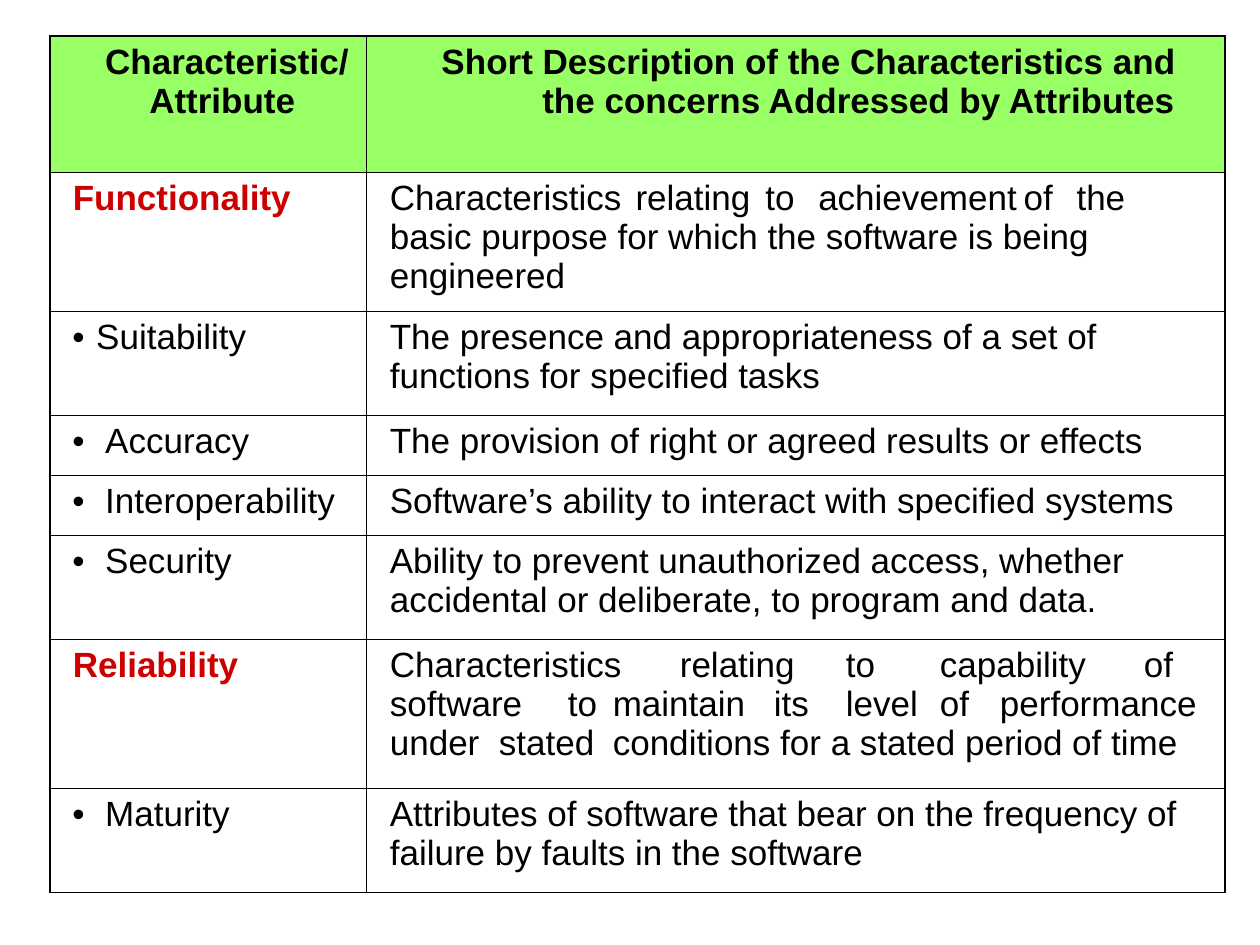
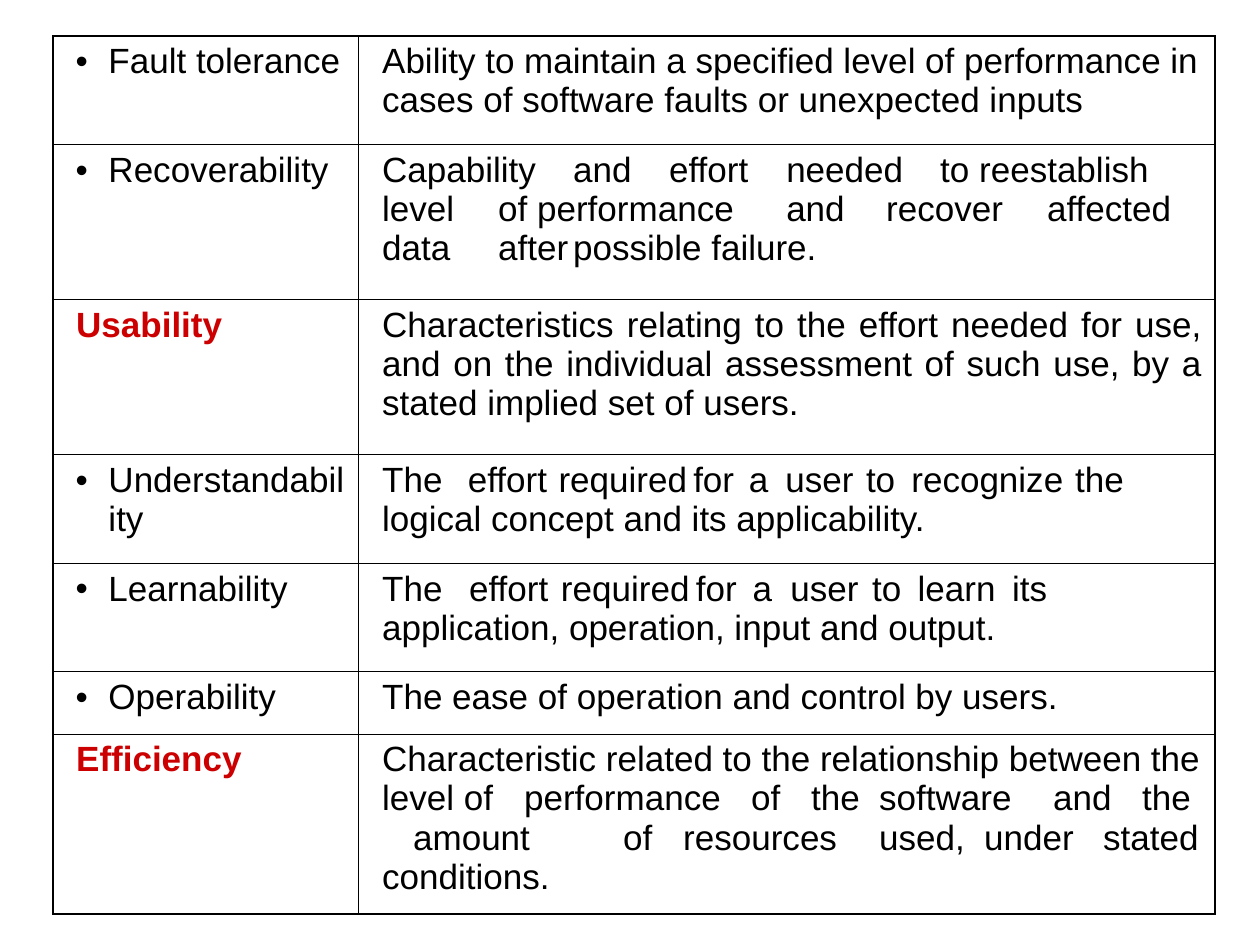
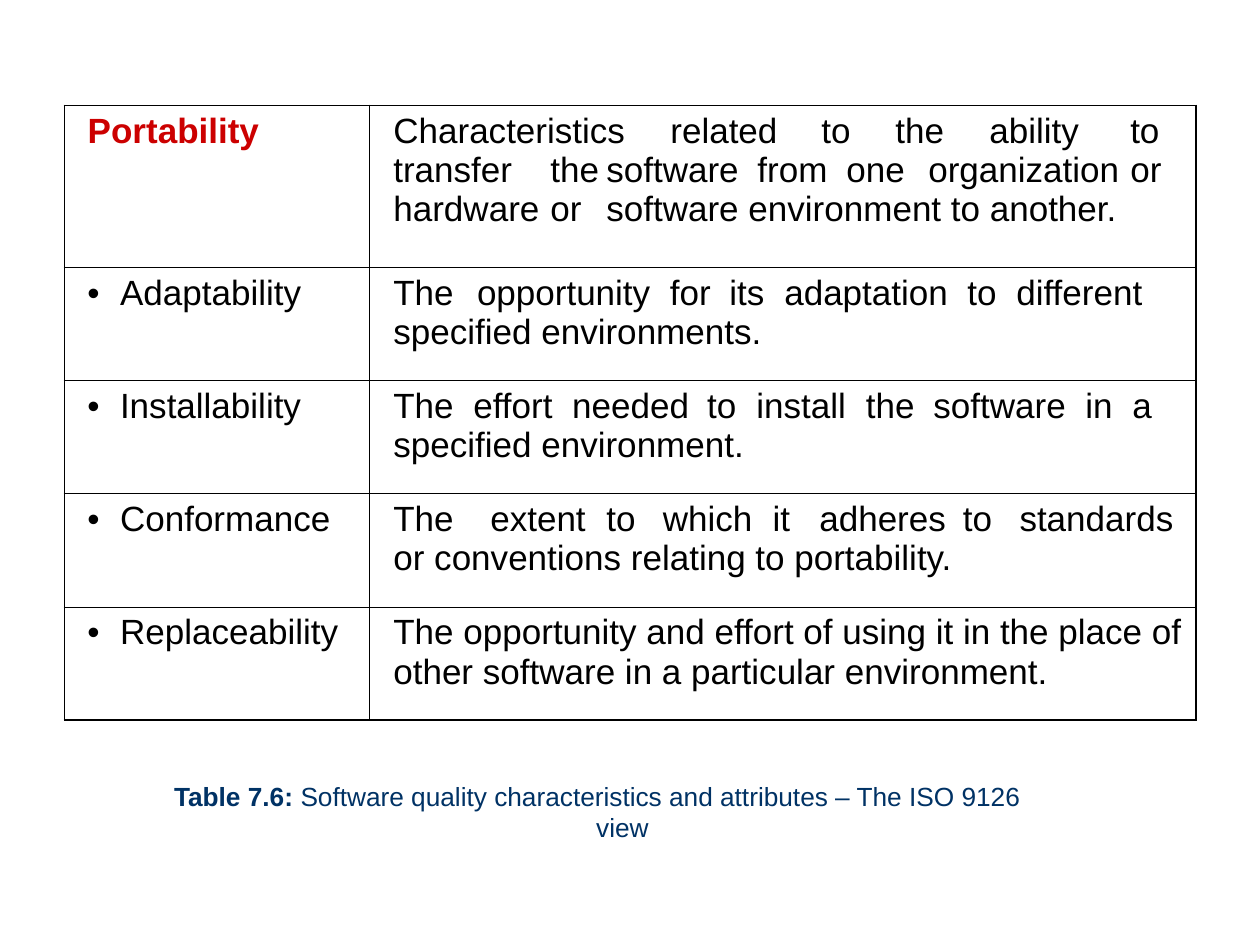
from dataclasses import dataclass
from lxml import etree
from pptx import Presentation, util as u
from pptx.dml.color import RGBColor
from pptx.enum import text
from pptx.oxml import ns

Pt = u.Pt


@dataclass(frozen=True)
class Theme:
    font: str = "Arial"
    ink: str = "000000"
    heading: str = "CC0000"
    caption: str = "003265"
    header_fill: str = "98FF65"
    body_size: int = 20
    caption_size: int = 15
    outer_line: float = 1.08
    inner_line: float = 0.45


THEME = Theme()

INDENTS = {
    "header name": (49.7, -25.2),
    "header description": (93.6, -57.6),
    "heading": (6, 0),
    "bullet": (24.5, -18.7),
    "tight bullet": (19.4, -13.7),
    "description": (6.5, 0),
}

TABLES = [
    {
        "at": (28.4, 20.5), "cols": (180.7, 491),
        "heights": (78, 79.4, 59.6, 34.2, 34.2, 59.6, 85, 59.6),
        "rows": [
            ("header", "Characteristic/ Attribute",
             "Short Description of the Characteristics and the concerns Addressed by Attributes"),
            ("heading", "Functionality",
             "Characteristics\trelating\tto\tachievement\tof\tthe\tbasic purpose for which the software is being engineered",
             {"stops": (140.4, 214.6, 244.8, 362.2, 392.4, 432.7, 504)}),
            ("tight bullet", "Suitability",
             "The presence and appropriateness of a set of functions for specified tasks"),
            ("bullet", "Accuracy", "The provision of right or agreed results or effects"),
            ("bullet", "Interoperability", "Software’s ability to interact with specified systems"),
            ("bullet", "Security",
             "Ability to prevent unauthorized access, whether accidental or deliberate, to program and data."),
            ("heading", "Reliability",
             "Characteristics\trelating\tto\tcapability\tof\vsoftware\tto\tmaintain\tits\tlevel\tof\tperformance\vunder\tstated\tconditions for a stated period of time",
             {"stops": (62.3, 101.7, 127.4, 165.7, 219.4, 260.6, 314.3, 348.6, 430.9)}),
            ("bullet", "Maturity",
             "Attributes of software that bear on the frequency of failure by faults in the software"),
        ],
    },
    {
        "at": (30.3, 20.5), "cols": (174.4, 489.6),
        "heights": (61.9, 88.6, 88.6, 62.2, 61.9, 35.8, 102.8),
        "rows": [
            ("bullet", "Fault tolerance",
             "Ability to maintain a specified level of performance in cases of software faults or unexpected inputs"),
            ("bullet", "Recoverability",
             "Capability\tand\teffort\tneeded\tto reestablish\vlevel\tof performance\tand\trecover\taffected\vdata\tafter\tpossible failure.",
             {"stops": (66.3, 109.1, 164, 230.9, 288, 318.9, 380)}),
            ("heading", "Usability",
             "Characteristics relating to the effort needed for use, and on the individual assessment of such use, by a stated implied set of users.",
             {"justify": True}),
            ("bullet", "Understandability",
             "The\teffort\trequired\tfor\ta\tuser\tto\trecognize\tthe\tlogical concept and its applicability.",
             {"stops": (49, 100.8, 177.8, 209.5, 230.4, 276.5, 302.4)}),
            ("bullet", "Learnability",
             "The\teffort\trequired\tfor\ta\tuser\tto\tlearn\tits\tapplication, operation, input and output.",
             {"stops": (49.7, 102.2, 179.3, 211.7, 233.3, 280, 306)}),
            ("bullet", "Operability", "The ease of operation and control by users."),
            ("heading", "Efficiency",
             "Characteristic related to the relationship between the level of\tperformance\tof\tthe\tsoftware\tand\tthe\v\tamount\tof\tresources\tused,\tunder\tstated\vconditions.",
             {"stops": (17.7, 81.1, 137.7, 172, 210.9, 245.1, 284, 344, 383.4, 412, 434.3)}),
        ],
    },
    {
        "at": (36.9, 60.2), "cols": (174.2, 472.3),
        "heights": (92.6, 64.7, 64.7, 64.7, 64.7),
        "rows": [
            ("heading", "Portability",
             "Characteristics\trelated\tto\tthe\tability\tto\vtransfer\tthe\tsoftware\tfrom\tone\torganization\tor\vhardware\tor\tsoftware environment to another.",
             {"stops": (89.7, 121.7, 158.3, 208, 244.6, 258.9, 286.9, 305.7, 340.6, 421.1)}),
            ("bullet", "Adaptability",
             "The\topportunity\tfor\tits\tadaptation\tto\tdifferent specified environments.",
             {"stops": (47.8, 158, 192, 223.4, 328, 356)}),
            ("bullet", "Installability",
             "The\teffort\tneeded\tto\tinstall\tthe\tsoftware\tin\ta specified environment.",
             {"stops": (45.7, 102.2, 179.3, 207.4, 270, 308.6, 395.4, 422.3)}),
            ("bullet", "Conformance",
             "The\textent\tto\twhich\tit\tadheres\tto\tstandards\tor conventions relating to portability.",
             {"stops": (55.4, 121.7, 154, 216.7, 243.4, 325.4, 357.8)}),
            ("bullet", "Replaceability",
             "The opportunity and effort of using it in the place of other software in a particular environment."),
        ],
    },
]

CAPTION = {
    "at": (98.8, 445.7, 515.5, 36),
    "indent": (241.9, -241.2),
    "label": "Table 7.6: ",
    "body": "Software quality characteristics and attributes – The ISO 9126 view",
}


def sub(parent, tag, **attrs):
    return etree.SubElement(parent, ns.qn(tag), {k: str(v) for k, v in attrs.items()})


def solid(parent, color):
    sub(sub(parent, "a:solidFill"), "a:srgbClr", val=color)


def set_indent(p, indent):
    left, first = indent
    pPr = p._p.get_or_add_pPr()
    pPr.set("marL", str(Pt(left)))
    if first:
        pPr.set("indent", str(Pt(first)))
    return pPr


def set_font(p, size, color):
    p.font.name = THEME.font
    p.font.size = Pt(size)
    p.font.color.rgb = RGBColor.from_string(color)


def fill_cell(cell, words, kind, color, bold, justify=False, stops=()):
    p = cell.text_frame.paragraphs[0]
    p.text = words
    if justify:
        p.alignment = text.PP_ALIGN.JUSTIFY
    if kind.startswith("header"):
        p.line_spacing = 1.01
    pPr = set_indent(p, INDENTS[kind])
    if kind.endswith("bullet"):
        sub(sub(pPr, "a:buClr"), "a:srgbClr", val=THEME.ink)
        sub(pPr, "a:buFont", typeface=THEME.font)
        sub(pPr, "a:buChar", char="•")
    if stops:
        tabs = sub(pPr, "a:tabLst")
        for stop in stops:
            sub(tabs, "a:tab", pos=Pt(stop), algn="l")
    set_font(p, THEME.body_size, color)
    p.font.bold = bold


def set_borders(cell, outer):
    tcPr = cell._tc.get_or_add_tcPr()
    for i, side in enumerate("LRTB"):
        width = THEME.outer_line if side in outer else THEME.inner_line
        ln = etree.Element(ns.qn(f"a:ln{side}"), {"w": str(Pt(width))})
        solid(ln, THEME.ink)
        tcPr.insert(i, ln)


def add_quality_table(s, data):
    rows, cols, heights = data["rows"], data["cols"], data["heights"]
    x, y = data["at"]
    tbl = s.shapes.add_table(len(rows), len(cols), Pt(x), Pt(y),
                             Pt(sum(cols)), Pt(sum(heights))).table
    tbl.first_row = tbl.horz_banding = False
    for col, width in zip(tbl.columns, cols):
        col.width = Pt(width)
    for i, (kind, name, description, *options) in enumerate(rows):
        tbl.rows[i].height = Pt(heights[i])
        header = kind == "header"
        left, right = tbl.cell(i, 0), tbl.cell(i, 1)
        fill_cell(left, name, "header name" if header else kind,
                  THEME.heading if kind == "heading" else THEME.ink,
                  kind in ("header", "heading"))
        fill_cell(right, description, "header description" if header else "description",
                  THEME.ink, header, **(options[0] if options else {}))
        edges = ("T" if i == 0 else "") + ("B" if i == len(rows) - 1 else "")
        for cell, side in ((left, "L"), (right, "R")):
            if header:
                cell.fill.solid()
                cell.fill.fore_color.rgb = RGBColor.from_string(THEME.header_fill)
            else:
                cell.fill.background()
            set_borders(cell, edges + side)


def add_caption(s):
    tf = s.shapes.add_textbox(*map(Pt, CAPTION["at"])).text_frame
    tf.word_wrap = True
    tf.margin_left = tf.margin_top = tf.margin_right = tf.margin_bottom = 0
    p = tf.paragraphs[0]
    set_indent(p, CAPTION["indent"])
    set_font(p, THEME.caption_size, THEME.caption)
    for words, bold in ((CAPTION["label"], True), (CAPTION["body"], False)):
        r = p.add_run()
        r.text = words
        r.font.bold = bold


def main():
    prs = Presentation()
    prs.slide_width, prs.slide_height = Pt(720), Pt(540)
    for data in TABLES:
        s = prs.slides.add_slide(prs.slide_layouts[6])
        add_quality_table(s, data)
    add_caption(s)
    prs.save("out.pptx")


if __name__ == "__main__":
    main()
